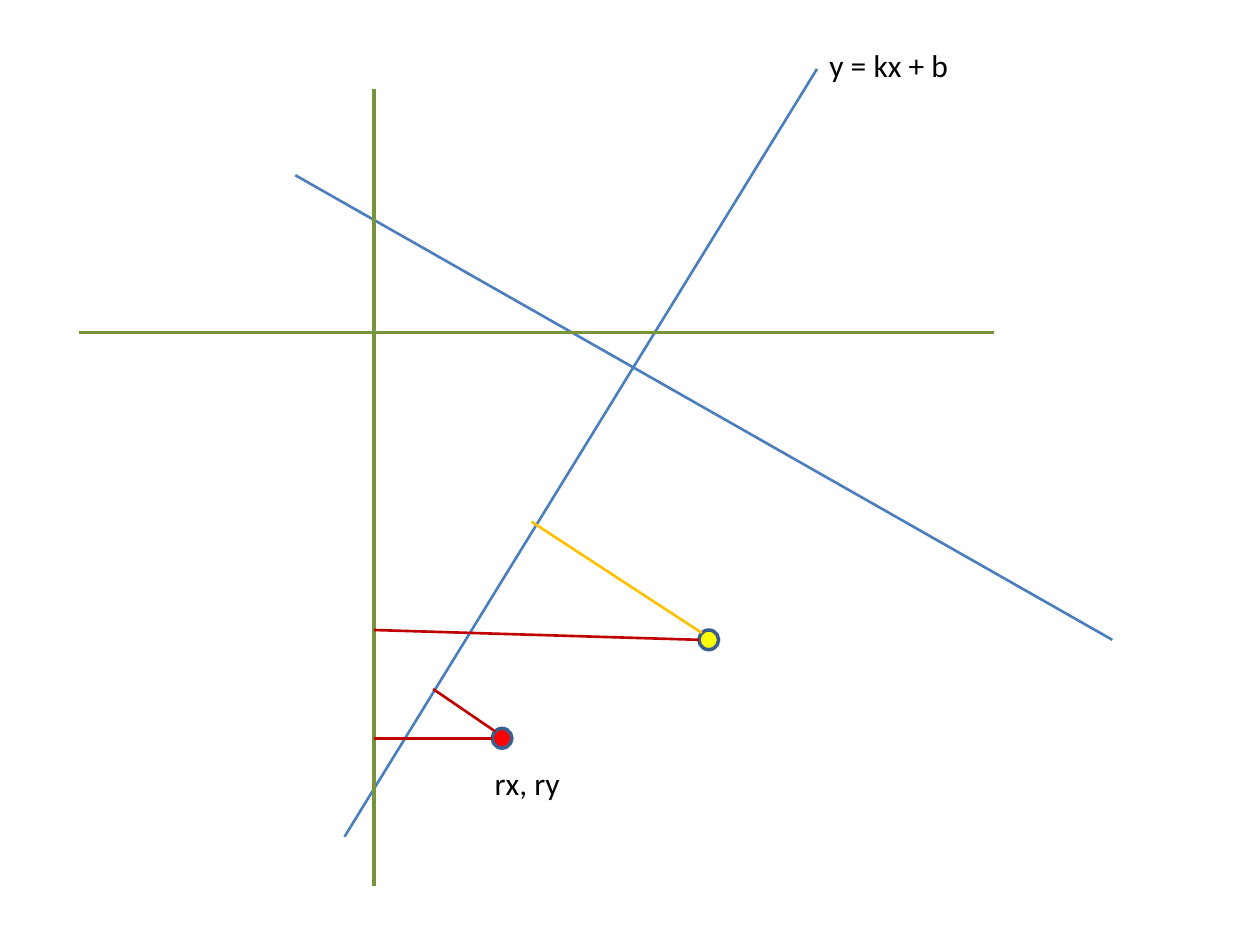
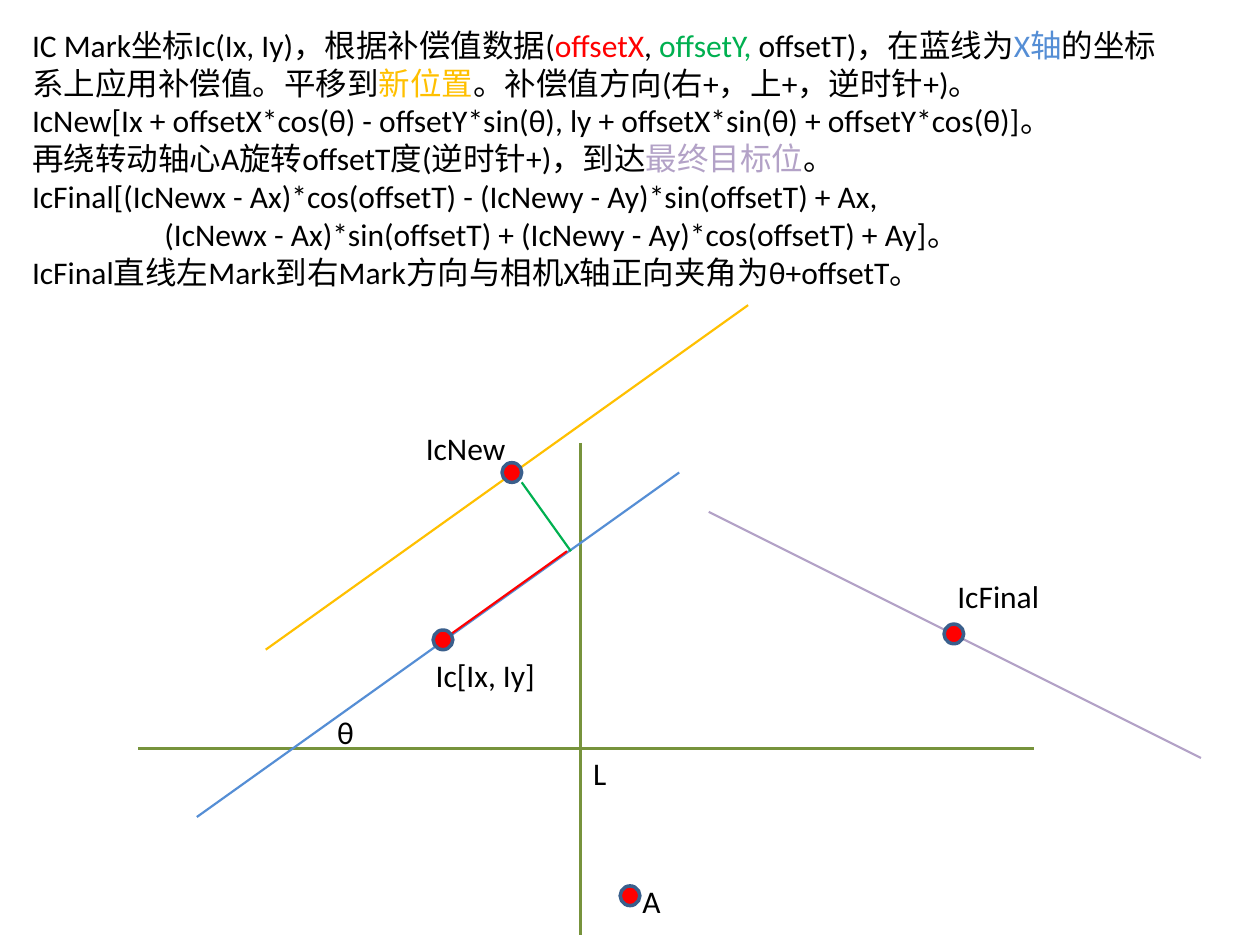
from lxml.etree import SubElement
from pptx import Presentation
from pptx.dml.color import RGBColor
from pptx.enum.shapes import MSO_CONNECTOR, MSO_SHAPE
from pptx.enum.text import MSO_AUTO_SIZE
from pptx.oxml.ns import qn
from pptx.util import Inches, Pt

COLUMNS, ROWS = 128, 96
COLORS = {
    "black": "000000", "outline": "3A5F8C", "axis": "77933C",
    "line": "4B7EBC", "blue": "558ED5", "red": "FF0000",
    "dark red": "C00000", "yellow": "FFFF00", "gold": "FFC000",
    "green": "00B050", "lilac": "B3A2C7",
}


class Diagram:
    """Draws on the current slide; positions are columns and rows of the grid."""

    font_name = "Calibri"
    font_size = Pt(18)
    dot_size = 2
    label_height = 5
    axis_width = 1.75

    def __init__(self, presentation):
        self.presentation = presentation
        self.cell_width = presentation.slide_width / COLUMNS
        self.cell_height = presentation.slide_height / ROWS
        self.slide = None

    def new_slide(self):
        self.slide = self.presentation.slides.add_slide(
            self.presentation.slide_layouts[6])

    def x(self, columns):
        return round(columns * self.cell_width)

    def y(self, rows):
        return round(rows * self.cell_height)

    def color(self, name):
        return RGBColor.from_string(COLORS[name])

    def line(self, start, end, color, width):
        connector = self.slide.shapes.add_connector(
            MSO_CONNECTOR.STRAIGHT, self.x(start[0]), self.y(start[1]),
            self.x(end[0]), self.y(end[1]))
        connector.line.color.rgb = self.color(color)
        connector.line.width = Pt(width)
        SubElement(connector._element.spPr, qn("a:effectLst"))

    def axes(self, left, right, top, bottom, origin):
        """Horizontal and vertical axis crossing at the origin."""
        column, row = origin
        self.line((right, row), (left, row), "axis", self.axis_width)
        self.line((column, top), (column, bottom), "axis", self.axis_width)

    def dot(self, center, color="red"):
        radius = self.dot_size / 2
        shape = self.slide.shapes.add_shape(
            MSO_SHAPE.OVAL, self.x(center[0] - radius), self.y(center[1] - radius),
            self.x(self.dot_size), self.y(self.dot_size))
        shape.shadow.inherit = False
        shape.fill.solid()
        shape.fill.fore_color.rgb = self.color(color)
        shape.line.color.rgb = self.color("outline")
        shape.line.width = Pt(2)

    def text(self, left, top, width, height, paragraphs):
        """Each paragraph is (indent in inches, [(text, color), ...])."""
        box = self.slide.shapes.add_textbox(
            self.x(left), self.y(top), self.x(width), self.y(height))
        frame = box.text_frame
        frame.word_wrap = True
        frame.auto_size = MSO_AUTO_SIZE.SHAPE_TO_FIT_TEXT
        for index, (indent, pieces) in enumerate(paragraphs):
            paragraph = frame.add_paragraph() if index else frame.paragraphs[0]
            if indent:
                paragraph._p.get_or_add_pPr().set("marL", str(Inches(indent)))
            for text, color in pieces:
                run = paragraph.add_run()
                run.text = text
                run.font.name = self.font_name
                run.font.size = self.font_size
                run.font.color.rgb = self.color(color)

    def label(self, left, top, width, text):
        self.text(left, top, width, self.label_height, [(0, [(text, "black")])])


def draw_distances(diagram):
    diagram.new_slide()
    lines = [
        ((83, 7), (35, 85), "line"),
        ((113, 65), (30, 17.8), "line"),
    ]
    distances = [
        ((71, 65), (38, 64), "dark red"),
        ((50, 75), (38, 75), "dark red"),
        ((71.3, 64.3), (54, 53), "gold"),
        ((50.3, 74.3), (44, 70), "dark red"),
    ]
    diagram.dot((51, 75))
    for start, end, color in lines:
        diagram.line(start, end, color, 1.5)
    diagram.axes(left=8, right=101, top=9, bottom=90, origin=(38, 33.8))
    diagram.dot((72, 65), "yellow")
    for start, end, color in distances:
        diagram.line(start, end, color, 1.5)
    diagram.label(83, 4, 17, "y = kx + b")
    diagram.label(49, 77, 11, "rx, ry")


def draw_compensation(diagram):
    diagram.new_slide()
    diagram.axes(left=14, right=105, top=45, bottom=95, origin=(59, 76))
    diagram.text(2, 2, 118, 28.4, [
        (0, [("IC Mark坐标Ic(Ix, Iy)，根据补偿值数据(", "black"),
             ("offsetX", "red"), (", ", "black"), ("offsetY, ", "green"),
             ("offsetT)，在蓝线为", "black"), ("X轴", "blue"),
             ("的坐标系上应用补偿值。平移到", "black"), ("新位置", "gold"),
             ("。补偿值方向(右+，上+，逆时针+)。", "black")]),
        (0, [("IcNew[Ix + offsetX*cos(θ) - offsetY*sin(θ), "
              "ly + offsetX*sin(θ) + offsetY*cos(θ)]。", "black")]),
        (0, [("再绕转动轴心A旋转offsetT度(逆时针+)，到达", "black"),
             ("最终目标位", "lilac"), ("。", "black")]),
        (0, [("IcFinal[(IcNewx - Ax)*cos(offsetT) - "
              "(IcNewy - Ay)*sin(offsetT) + Ax,", "black")]),
        (1.05, [("(IcNewx - Ax)*sin(offsetT) + "
                 "(IcNewy - Ay)*cos(offsetT) + Ay]。", "black")]),
        (0, [("IcFinal直线左Mark到右Mark方向与相机X轴正向夹角为θ+offsetT。",
              "black")]),
    ])
    for start, end, color in [
        ((69, 48), (20, 83), "blue"),
        ((76, 31), (27, 66), "gold"),
        ((57.6, 56), (45, 65), "red"),
        ((58, 56), (53, 49), "green"),
        ((122, 77), (72, 52), "lilac"),
    ]:
        diagram.line(start, end, color, 1.25)
    for center in [(45, 65), (52, 48), (64, 91), (96.9, 64.4)]:
        diagram.dot(center)
    for left, top, width, text in [
        (43, 66, 14, "Ic[Ix, Iy]"),
        (59, 76, 6, "L"),
        (42, 43, 13, "IcNew"),
        (33, 71.8, 6, "θ"),
        (64, 89, 6, "A"),
        (96, 58, 13, "IcFinal"),
    ]:
        diagram.label(left, top, width, text)


def main():
    presentation = Presentation()
    presentation.slide_width = Inches(10)
    presentation.slide_height = Inches(7.5)
    diagram = Diagram(presentation)
    draw_distances(diagram)
    draw_compensation(diagram)
    presentation.save("out.pptx")


if __name__ == "__main__":
    main()
